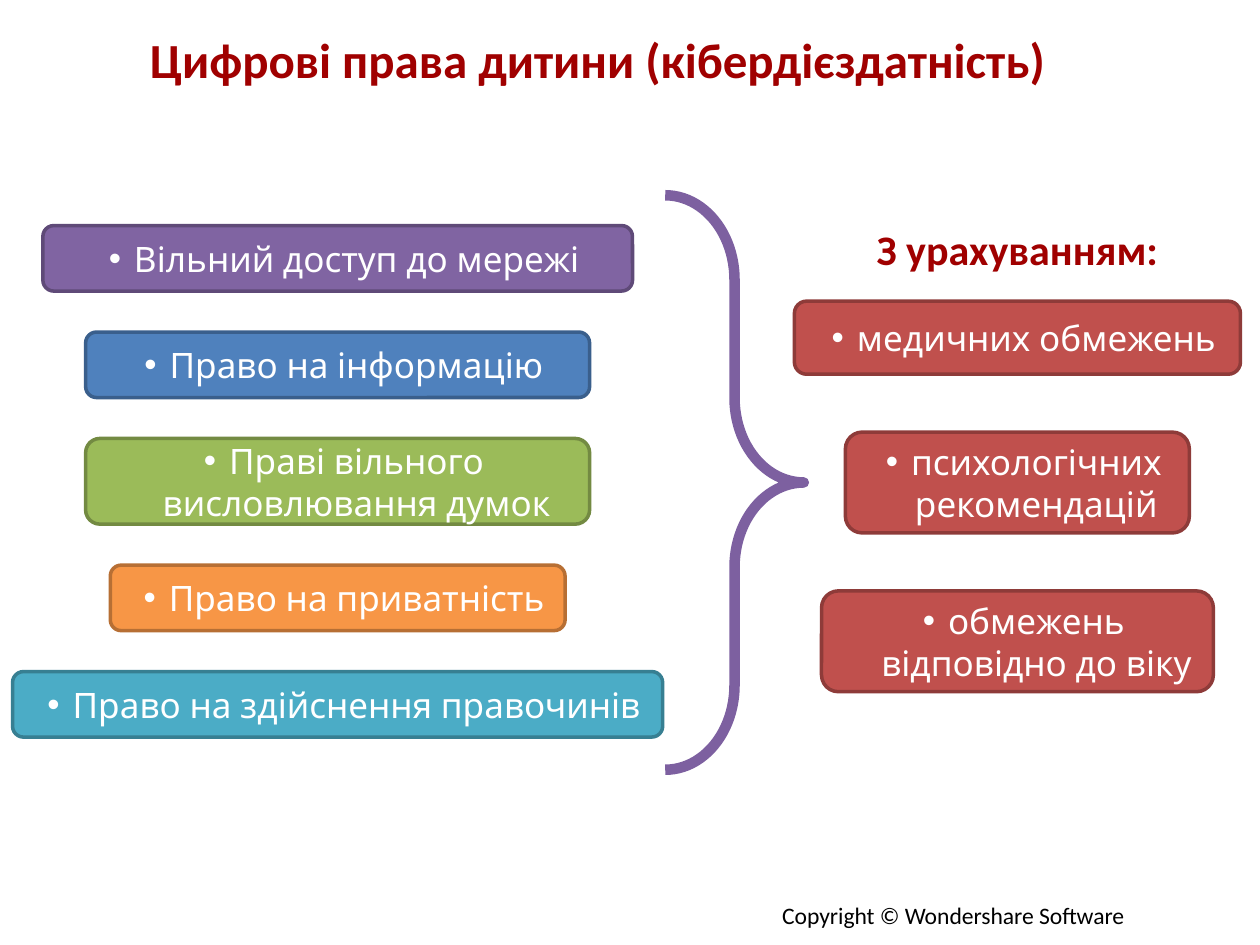
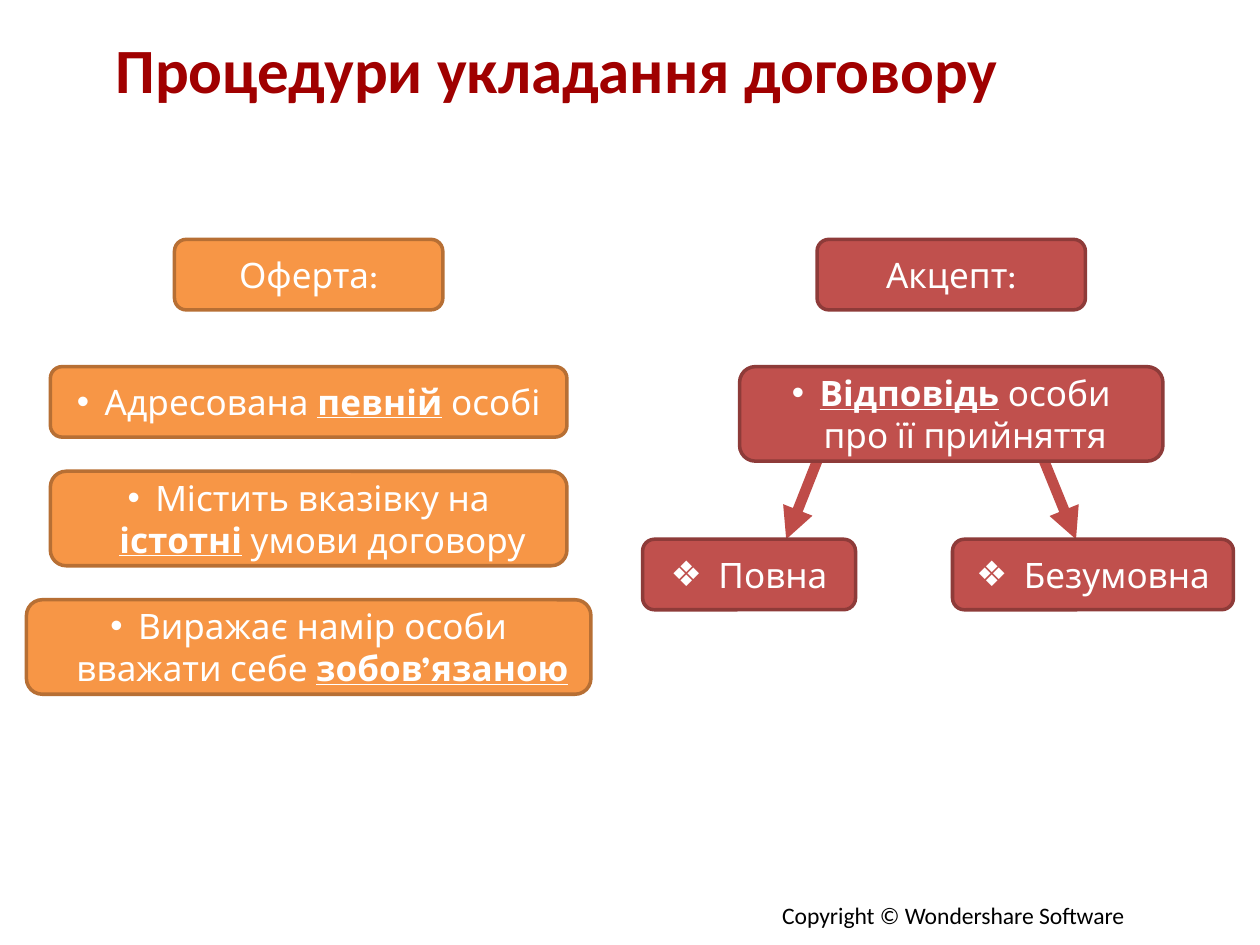
from lxml import etree
from pptx import Presentation
from pptx import util as u
from pptx.dml.color import RGBColor
from pptx.enum import shapes, text
from pptx.oxml.ns import qn

PURPLE, BLUE, GREEN = ("8064A2", "5F4A78"), ("4F81BD", "3A5F8C"), ("9BBB59", "738A42")
ORANGE, TEAL, RED = ("F79646", "B76F34"), ("4BACC6", "377F92"), ("C0504D", "8E3B39")
BRACE, ARROW = "7D60A0", "BF4C48"
HEADING = {"name": "Calibri", "bold": True, "color": "A00000"}
FOOTER = {"name": "Calibri", "size": 13.5, "color": "000000"}
LABEL = {"name": "League Spartan", "size": 20, "color": "FFFFFF"}
EMPHASIS = {"bold": True, "underline": True}
RIGHTS_BULLET, TERMS_BULLET, DIAMOND = ("•", 0.3, 0.2), ("•", 0.22, 0.22), ("❖", 0.38, 0.38)


def rgb(code):
    """Return the colour for a hex string."""
    return RGBColor.from_string(code)


def set_font(font, values):
    """Apply a dict of format values to a font."""
    for key, value in values.items():
        if key == "color":
            font.color.rgb = rgb(value)
        else:
            setattr(font, key, u.Pt(value) if key == "size" else value)


def set_frame(frame, **values):
    """Apply format values to a text frame."""
    for key, value in values.items():
        setattr(frame, key, value)


def set_line(line, color, width):
    """Give an outline its colour and width in points."""
    line.color.rgb = rgb(color)
    line.width = u.Pt(width)


def add_bullet(paragraph, bullet):
    """Give a paragraph a bullet with a hanging indent."""
    char, margin, hang = bullet
    properties = paragraph._p.get_or_add_pPr()
    properties.set("marL", str(u.Inches(margin)))
    properties.set("indent", str(-u.Inches(hang)))
    etree.SubElement(properties, qn("a:buFont")).set("typeface", "Arial")
    etree.SubElement(properties, qn("a:buChar")).set("char", char)


def write_heading(shape, words, size):
    """Write a centred dark red heading."""
    frame = shape.text_frame
    set_frame(frame, word_wrap=True, auto_size=text.MSO_AUTO_SIZE.NONE,
              vertical_anchor=text.MSO_ANCHOR.MIDDLE)
    paragraph = frame.paragraphs[0]
    paragraph.text = words
    paragraph.alignment = text.PP_ALIGN.CENTER
    set_font(paragraph.runs[0].font, {**HEADING, "size": size})


def add_slide(deck, title, box, size):
    """Add a slide with its title and copyright footer."""
    slide = deck.slides.add_slide(deck.slide_layouts[5])
    heading = slide.shapes.title
    heading.left, heading.top, heading.width, heading.height = map(u.Inches, box)
    write_heading(heading, title, size)
    footer = slide.shapes.add_textbox(*map(u.Inches, (6.11, 7.1, 2.97, 0.33)))
    footer.text_frame.word_wrap = False
    run = footer.text_frame.paragraphs[0].add_run()
    run.text = "Copyright © Wondershare Software"
    set_font(run.font, FOOTER)
    return slide


def add_card(slide, box, words, colors, bullet=None):
    """Add a rounded card; words between asterisks are emphasised."""
    card = slide.shapes.add_shape(shapes.MSO_SHAPE.ROUNDED_RECTANGLE, *map(u.Inches, box))
    card.shadow.inherit = False
    fill, outline = colors
    card.fill.solid()
    card.fill.fore_color.rgb = rgb(fill)
    set_line(card.line, outline, 2)
    set_frame(card.text_frame, word_wrap=True, vertical_anchor=text.MSO_ANCHOR.MIDDLE)
    paragraph = card.text_frame.paragraphs[0]
    paragraph.alignment = text.PP_ALIGN.CENTER
    if bullet:
        add_bullet(paragraph, bullet)
    for position, part in enumerate(words.split("*")):
        if part:
            run = paragraph.add_run()
            run.text = part
            set_font(run.font, {**LABEL, **(EMPHASIS if position % 2 else {})})


def add_column(slide, center, top, gap, cards, bullet):
    """Stack cards around a vertical axis with equal gaps."""
    for words, width, height, colors in cards:
        add_card(slide, (center - width / 2, top, width, height), words, colors, bullet)
        top += height + gap


def add_brace(slide, box):
    """Add the brace that joins the rights to their limits."""
    brace = slide.shapes.add_shape(shapes.MSO_SHAPE.RIGHT_BRACE, *map(u.Inches, box))
    brace.shadow.inherit = False
    brace.fill.background()
    brace.adjustments[0], brace.adjustments[1] = 0.61, 0.5
    set_line(brace.line, BRACE, 6)


def add_arrow(slide, start, end):
    """Add a thick arrow between two points."""
    arrow = slide.shapes.add_connector(shapes.MSO_CONNECTOR.STRAIGHT,
                                       *map(u.Inches, (*start, *end)))
    set_line(arrow.line, ARROW, 6)
    properties = arrow._element.spPr
    etree.SubElement(properties.find(qn("a:ln")), qn("a:tailEnd")).set("type", "triangle")
    etree.SubElement(properties, qn("a:effectLst"))


def add_limits(slide, left, top, width):
    """Add the heading and cards of what limits the rights."""
    heading = slide.shapes.add_textbox(*map(u.Inches, (left, top, width, 0.68)))
    write_heading(heading, "З урахуванням:", 24)
    limits = [
        ("медичних обмежень", 3.54, 0.58, RED),
        ("психологічних рекомендацій", 2.73, 0.8, RED),
        ("обмежень відповідно до віку", 3.11, 0.8, RED),
    ]
    add_column(slide, left + width / 2, top + 0.76, 0.46, limits, RIGHTS_BULLET)


def add_rights_slide(deck):
    """Build the slide on the digital rights of a child."""
    slide = add_slide(deck, "Цифрові права дитини (кібердієздатність)",
                      (0.18, 0.13, 9.12, 0.68), 28)
    rights = [
        ("Вільний доступ до мережі", 4.68, 0.52, PURPLE),
        ("Право на інформацію", 4, 0.52, BLUE),
        ("Праві вільного висловлювання думок", 4, 0.68, GREEN),
        ("Право на приватність", 3.61, 0.52, ORANGE),
        ("Право на здійснення правочинів", 5.16, 0.52, TEAL),
    ]
    add_column(slide, 2.68, 1.79, 0.325, rights, RIGHTS_BULLET)
    add_brace(slide, (5.28, 1.55, 1.1, 4.56))
    add_limits(slide, 6.21, 1.63, 3.73)


def add_offer(slide, center, top):
    """Add the offer column."""
    add_column(slide, center, top, 0, [("Оферта:", 2.13, 0.56, ORANGE)], None)
    terms = [
        ("Адресована *певній* особі", 4.1, 0.56, ORANGE),
        ("Містить вказівку на *істотні* умови договору", 4.1, 0.75, ORANGE),
        ("Виражає намір особи вважати себе *зобов’язаною*", 4.48, 0.75, ORANGE),
    ]
    add_column(slide, center, top + 1.01, 0.27, terms, TERMS_BULLET)


def add_acceptance(slide, center, top):
    """Add the acceptance column with its two branches."""
    branch_top = top + 2.38
    for start, end in ((-0.99, -1.31), (0.66, 0.99)):
        add_arrow(slide, (center + start, top + 1.57), (center + end, branch_top))
    add_column(slide, center, top, 0, [("Акцепт:", 2.13, 0.56, RED)], None)
    answer = ("*Відповідь* особи про її прийняття", 3.36, 0.75, RED)
    add_column(slide, center, top + 1.01, 0, [answer], TERMS_BULLET)
    for words, offset, width in (("Повна", -2.45, 1.69), ("Безумовна", 0.01, 2.23)):
        add_card(slide, (center + offset, branch_top, width, 0.56), words, RED, DIAMOND)


def add_contract_slide(deck):
    """Build the slide on how a contract is concluded."""
    slide = add_slide(deck, "Процедури укладання договору", (0.71, 0.1, 7.42, 0.88), 36)
    add_offer(slide, 2.45, 1.9)
    add_acceptance(slide, 7.55, 1.9)


def main():
    """Build and save the deck."""
    deck = Presentation()
    deck.slide_width, deck.slide_height = u.Inches(10), u.Inches(7.5)
    add_rights_slide(deck)
    add_contract_slide(deck)
    deck.save("out.pptx")


if __name__ == "__main__":
    main()
